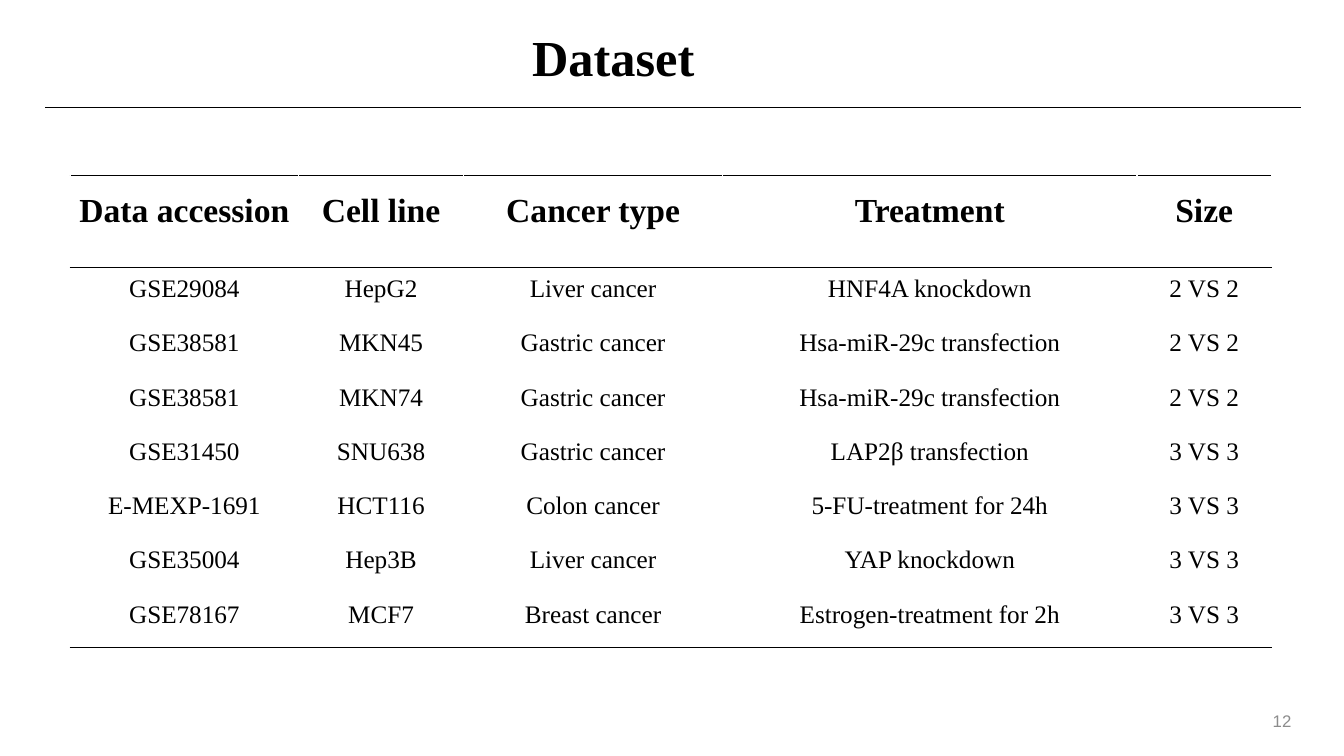
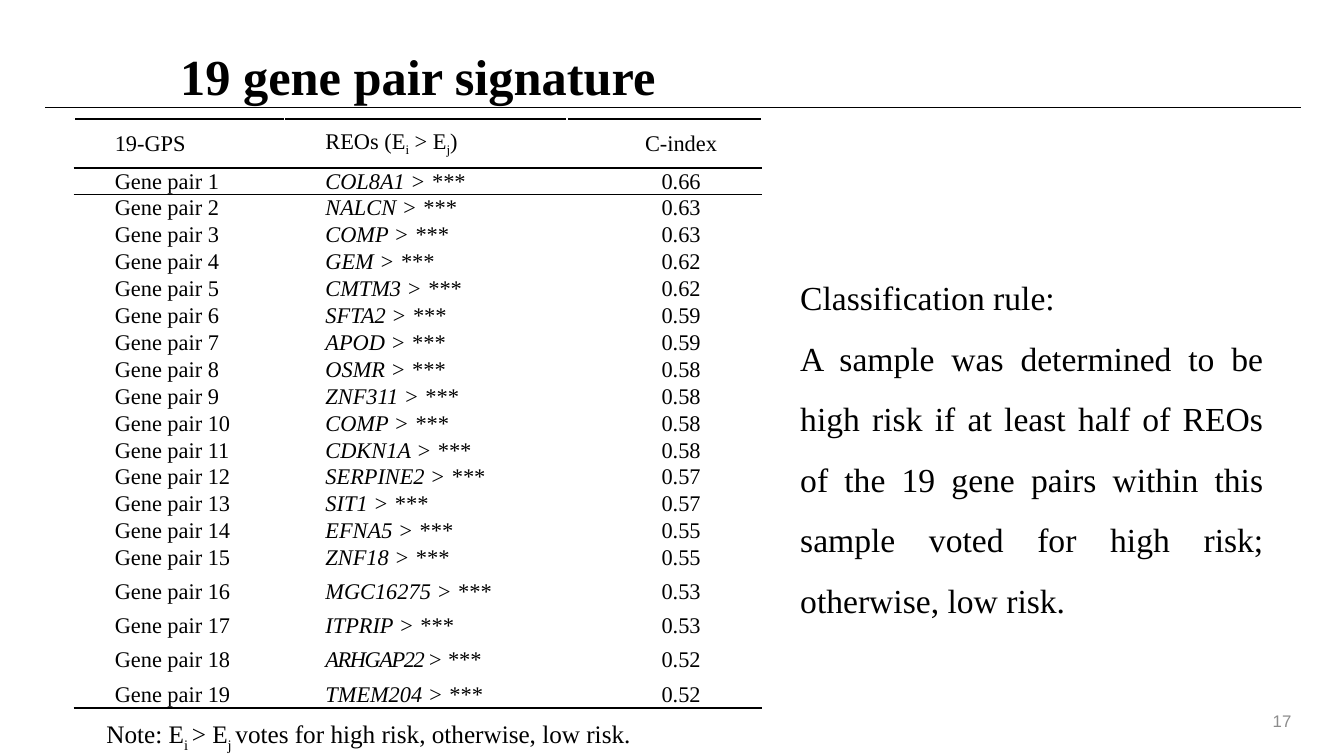
import pptx
import pptx.util
import pptx.dml.color
import pptx.enum.shapes
import pptx.enum.text
import pptx.oxml.ns
from lxml import etree

Pt = pptx.util.Pt
Align = pptx.enum.text.PP_ALIGN
Anchor = pptx.enum.text.MSO_ANCHOR

BLACK = pptx.dml.color.RGBColor(0x00, 0x00, 0x00)
GRAY = pptx.dml.color.RGBColor(0x8C, 0x8C, 0x8C)
SERIF = "Times New Roman"
SANS = "Arial"
SUB = {"baseline": "-25000"}
TIGHT = {"spc": "-100"}

DATA = [
    ["Data accession", "Cell line", "Cancer type", "Treatment", "Size"],
    ["GSE29084", "HepG2", "Liver cancer", "HNF4A knockdown", "2 VS 2"],
    ["GSE38581", "MKN45", "Gastric cancer", "Hsa-miR-29c transfection", "2 VS 2"],
    ["GSE38581", "MKN74", "Gastric cancer", "Hsa-miR-29c transfection", "2 VS 2"],
    ["GSE31450", "SNU638", "Gastric cancer", "LAP2β transfection", "3 VS 3"],
    ["E-MEXP-1691", "HCT116", "Colon cancer", "5-FU-treatment for 24h", "3 VS 3"],
    ["GSE35004", "Hep3B", "Liver cancer", "YAP knockdown", "3 VS 3"],
    ["GSE78167", "MCF7", "Breast cancer", "Estrogen-treatment for 2h", "3 VS 3"],
]
GENES = [
    ("COL8A1", "0.66"), ("NALCN", "0.63"), ("COMP", "0.63"), ("GEM", "0.62"),
    ("CMTM3", "0.62"), ("SFTA2", "0.59"), ("APOD", "0.59"), ("OSMR", "0.58"),
    ("ZNF311", "0.58"), ("COMP", "0.58"), ("CDKN1A", "0.58"),
    ("SERPINE2", "0.57"), ("SIT1", "0.57"), ("EFNA5", "0.55"),
    ("ZNF18", "0.55"), ("MGC16275", "0.53"), ("ITPRIP", "0.53"),
    ("ARHGAP22", "0.52"), ("TMEM204", "0.52"),
]


def write(frame, *paras, size=18, font=SERIF, color=BLACK, bold=False,
          italic=False, align=Align.LEFT, space=None):
    """Each paragraph is a string or a list of strings and (string, attributes)."""
    for i, para in enumerate(paras):
        p = frame.paragraphs[0] if i == 0 else frame.add_paragraph()
        p.alignment = align
        p.line_spacing = space
        for part in [para] if isinstance(para, str) else para:
            words, attrs = (part, {}) if isinstance(part, str) else part
            run = p.add_run()
            run.text = words
            run.font.size = Pt(size)
            run.font.name = font
            run.font.color.rgb = color
            run.font.bold = bold
            run.font.italic = italic
            for key, value in attrs.items():
                run._r.get_or_add_rPr().set(key, value)


def add_box(slide, x, y, w, h, *paras, anchor=Anchor.TOP, **fmt):
    frame = slide.shapes.add_textbox(Pt(x), Pt(y), Pt(w), Pt(h)).text_frame
    frame.word_wrap = True
    frame.vertical_anchor = anchor
    write(frame, *paras, **fmt)


def set_title(slide, x, y, w, h, words):
    title = slide.shapes.title
    title.left, title.top, title.width, title.height = Pt(x), Pt(y), Pt(w), Pt(h)
    frame = title.text_frame
    frame.margin_left = frame.margin_right = 0
    frame.margin_top = frame.margin_bottom = 0
    frame.vertical_anchor = Anchor.BOTTOM
    write(frame, words, size=36, bold=True, align=Align.CENTER)


def add_rule(slide):
    """Put the line under the title on the layout that all slides share."""
    rule = slide.shapes.add_connector(
        pptx.enum.shapes.MSO_CONNECTOR.STRAIGHT, Pt(32.4), Pt(77), Pt(929.5), Pt(77))
    rule.line.color.rgb = BLACK
    rule.line.width = Pt(1)
    etree.SubElement(rule.element.spPr, pptx.oxml.ns.qn("a:effectLst"))
    slide.slide_layout.shapes.element.append(rule.element)


def add_slide(deck, layout, number):
    slide = deck.slides.add_slide(layout)
    add_box(slide, 688.5, 500.5, 241, 28.8, number, size=12, font=SANS,
            color=GRAY, align=Align.RIGHT, anchor=Anchor.MIDDLE)
    return slide


def add_edge(cell, tag, weight):
    qn = pptx.oxml.ns.qn
    props = cell._tc.get_or_add_tcPr()
    line = etree.SubElement(props, qn(tag), w=str(Pt(weight)))
    fill = etree.SubElement(line, qn("a:solidFill"))
    etree.SubElement(fill, qn("a:srgbClr"), val=str(BLACK))


def add_grid(slide, x, y, cols, heights, rows, edges, style, left=5):
    """edges maps a row boundary to its line weight; style gives a cell's format."""
    shape = slide.shapes.add_table(len(rows), len(cols), Pt(x), Pt(y),
                                   Pt(sum(cols)), Pt(sum(heights)))
    table = shape.table
    table.first_row = table.horz_banding = False
    for col, width in zip(table.columns, cols):
        col.width = Pt(width)
    for r, (row, height) in enumerate(zip(rows, heights)):
        table.rows[r].height = Pt(height)
        for c, words in enumerate(row):
            cell = table.cell(r, c)
            for tag, edge in (("a:lnT", r), ("a:lnB", r + 1)):
                if edge in edges:
                    add_edge(cell, tag, edges[edge])
            cell.fill.background()
            cell.vertical_anchor = Anchor.MIDDLE
            cell.margin_left, cell.margin_right = Pt(left), Pt(5)
            cell.margin_top = cell.margin_bottom = 0
            write(cell.text_frame, words, **style(r, c))


def data_style(r, c):
    return dict(size=18 if r else 24, bold=r == 0, align=Align.CENTER, space=Pt(12))


def gene_style(r, c):
    return dict(size=16, italic=r > 0 and c == 1,
                align=Align.CENTER if c == 2 else Align.LEFT)


def gene_rows():
    rows = [["19-GPS", ["REOs (E", ("i", SUB), " > E", ("j", SUB), ")"], "C-index"]]
    for n, (gene, index) in enumerate(GENES, 1):
        lead = f"{gene} > "
        pair = [(lead, TIGHT) if gene == "ARHGAP22" else lead, "***"]
        rows.append([f"Gene pair {n}", pair, index])
    return rows


def main():
    deck = pptx.Presentation()
    deck.slide_width, deck.slide_height = Pt(960), Pt(540)
    layout = deck.slide_layouts[5]

    # Data sets
    slide = add_slide(deck, layout, "12")
    add_rule(slide)
    set_title(slide, 110, 16.5, 656, 45.5, "Dataset")
    add_grid(slide, 50.2, 125.5, [163, 118, 185, 296, 96], [65.5] + [38.8] * 7,
             DATA, {0: 1, 1: 1, 8: 1}, data_style)

    # Gene pairs and the rule for voting
    slide = add_slide(deck, layout, "17")
    set_title(slide, 22.5, 29.5, 552, 46, "19 gene pair signature")
    add_grid(slide, 53, 85, [150.5, 201.5, 139], [35] + [19] * 15 + [29.5, 19] * 2,
             gene_rows(), {0: 1.5, 1: 1.5, 2: 1, 20: 1}, gene_style, left=29)
    add_box(slide, 564.5, 180, 345, 270, "Classification rule:",
            "A sample was determined to be high risk if at least half of REOs of "
            "the 19 gene pairs within this sample voted for high risk; otherwise, "
            "low risk.", size=24, align=Align.JUSTIFY, space=1.5)
    add_box(slide, 69, 509.8, 427, 29,
            ["Note: E", ("i ", SUB), "> E", ("j ", SUB),
             "votes for high risk, otherwise, low risk."])

    deck.save("out.pptx")


if __name__ == "__main__":
    main()
